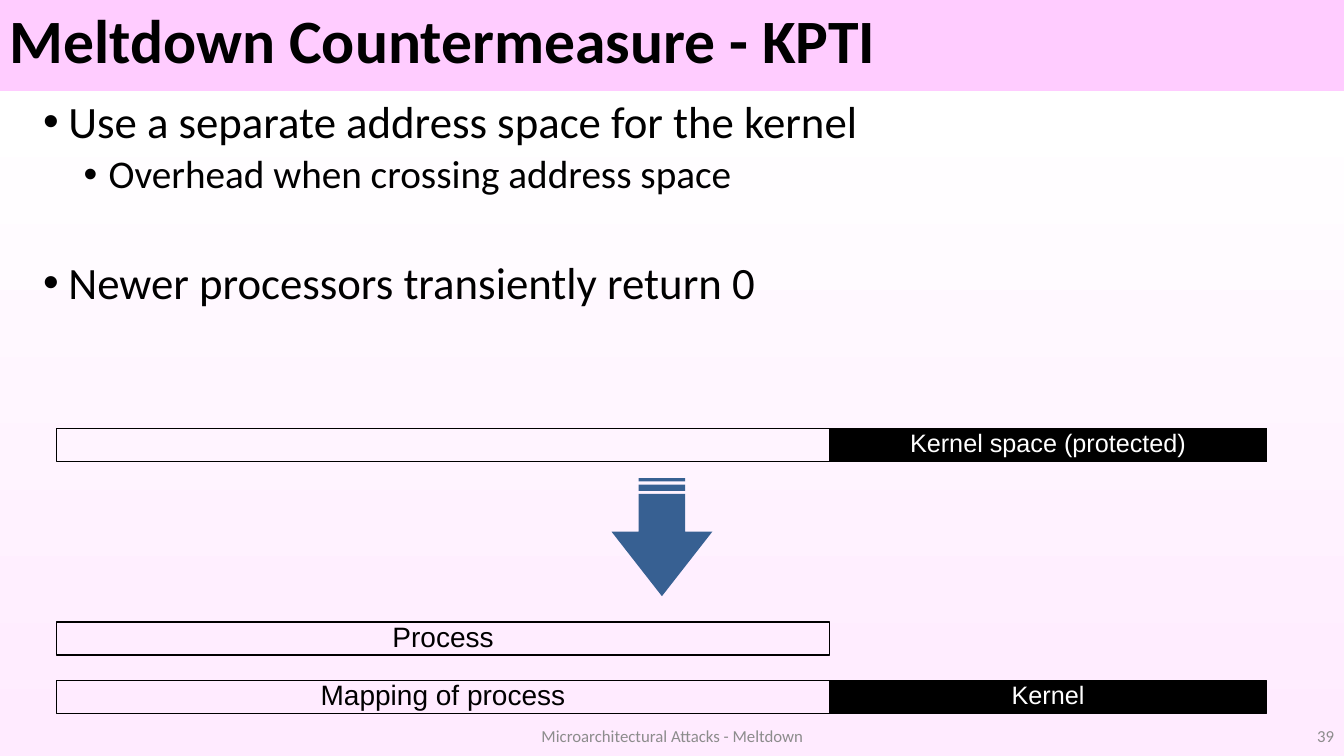
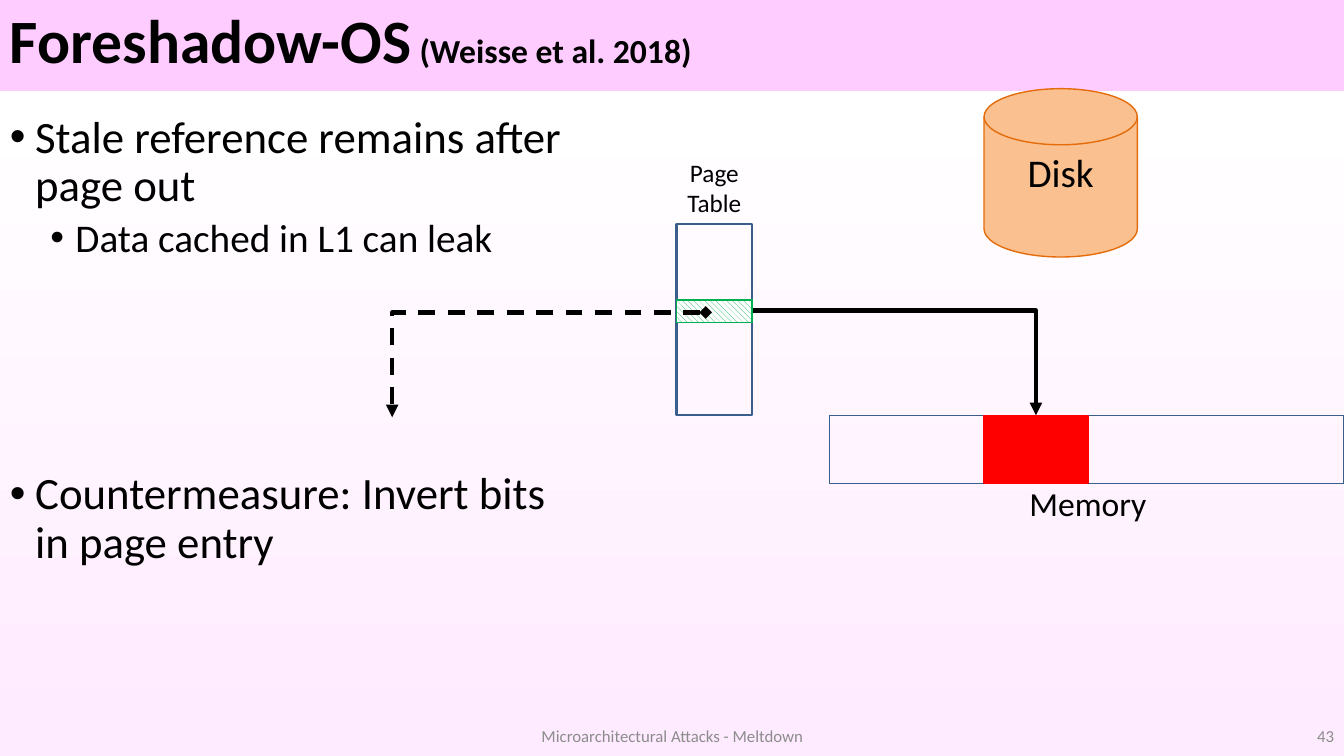
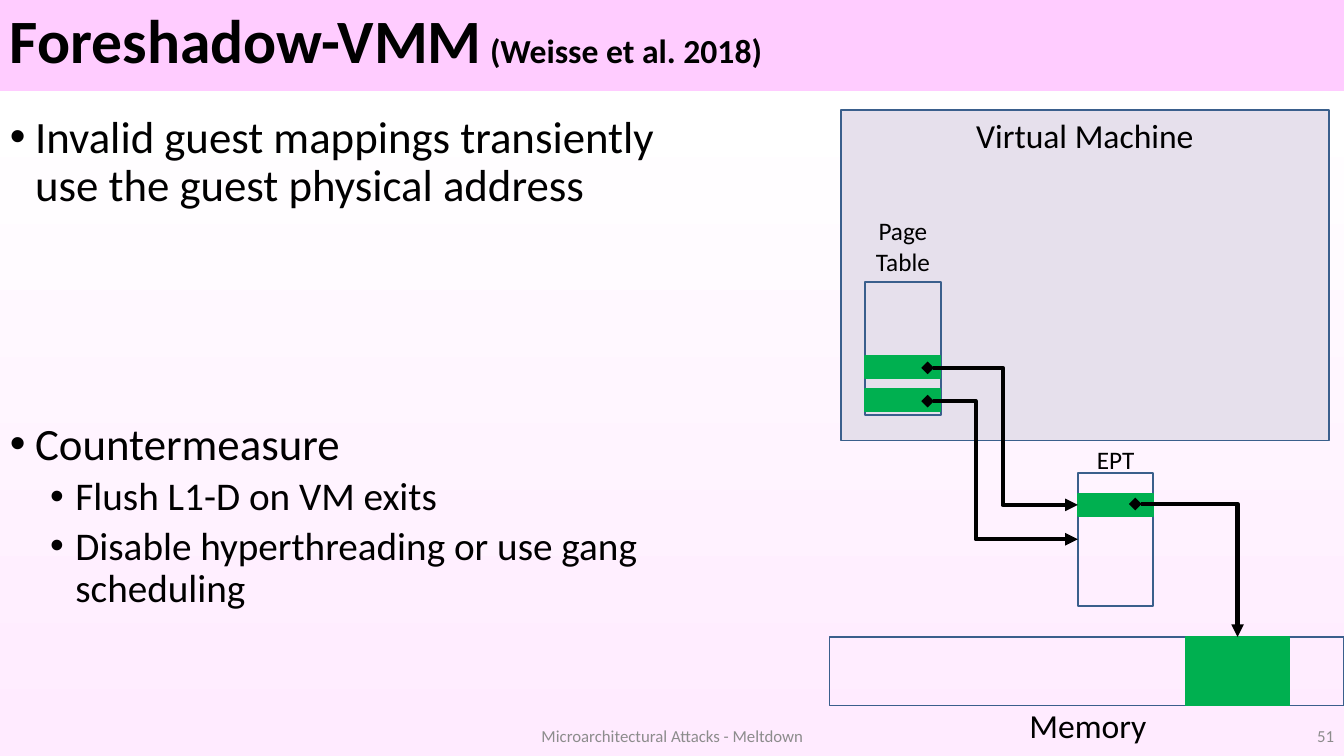
from dataclasses import dataclass
from typing import NamedTuple

from lxml.etree import SubElement
from pptx import Presentation
from pptx.dml.color import RGBColor
from pptx.dml.fill import FillFormat
from pptx.enum.dml import MSO_LINE, MSO_PATTERN
from pptx.enum.shapes import MSO_CONNECTOR as Connectors, MSO_SHAPE as Shapes
from pptx.enum.text import MSO_ANCHOR as Anchor, PP_ALIGN as Align
from pptx.oxml.ns import qn
from pptx.shapes.autoshape import Shape
from pptx.shapes.connector import Connector
from pptx.slide import Slide, SlideMaster
from pptx.text.text import Font
from pptx.util import Inches, Pt

SLIDE_WIDTH, SLIDE_HEIGHT = 13.33, 7.5
BLACK, WHITE, GRAY = "000000", "FFFFFF", "8C8C8C"
BLUE, ARROW_BLUE, GREEN, RED = "3A5F8C", "376092", "00B050", "FF0000"
BACKGROUND_STOPS = [(0, "FFCCFF"), (12, "FFCCFF"), (12, WHITE), (100, "FFEBFF")]
FOOTER = "Microarchitectural Attacks - Meltdown"
CITATION = "(Weisse et al. 2018)"
TABLE_WIDTH, ENTRY_HEIGHT = 0.75, 0.22
BAR_LEFT, BAR_SPLIT, BAR_RIGHT, BAR_HEIGHT = 0.56, 8.23, 12.56, 0.33
MEMORY_LEFT, MEMORY_WIDTH, MEMORY_HEIGHT, BLOCK_WIDTH = 8.23, 5.1, 0.68, 1.03


class Box(NamedTuple):
    left: float
    top: float
    width: float
    height: float

    def lengths(self) -> list[Inches]:
        return [Inches(value) for value in self]


class Point(NamedTuple):
    x: float
    y: float


@dataclass(frozen=True)
class TextStyle:
    size: float
    color: str = BLACK
    font: str = "Calibri"
    bold: bool = False
    align: Align = Align.CENTER
    spacing: float = 1.0


TITLE = TextStyle(44, bold=True, align=Align.LEFT, spacing=0.9)
TABLE_LABEL = TextStyle(18)
LABEL = TextStyle(24)
BAR_DARK = TextStyle(18, WHITE, "Arial", spacing=0.85)
BAR_LIGHT = TextStyle(20, BLACK, "Arial", spacing=0.85)


@dataclass(frozen=True)
class Bullet:
    text: str
    level: int = 0
    space_before: float = 0


def rgb(color: str) -> RGBColor:
    return RGBColor.from_string(color)


def set_fill(fill: FillFormat, color: str | None) -> None:
    if color is None:
        fill.background()
    else:
        fill.solid()
        fill.fore_color.rgb = rgb(color)


def set_font(font: Font, style: TextStyle) -> None:
    font.name, font.size, font.bold = style.font, Pt(style.size), style.bold
    font.color.rgb = rgb(style.color)


def write(shape: Shape, text: str, style: TextStyle, anchor: Anchor = Anchor.MIDDLE,
          wrap: bool = True) -> None:
    frame = shape.text_frame
    frame.word_wrap, frame.vertical_anchor = wrap, anchor
    paragraph = frame.paragraphs[0]
    paragraph.text = text
    paragraph.alignment, paragraph.line_spacing = style.align, style.spacing
    set_font(paragraph.font, style)


def add_text(slide: Slide, box: Box, text: str, style: TextStyle,
             anchor: Anchor = Anchor.TOP) -> Shape:
    shape = slide.shapes.add_textbox(*box.lengths())
    write(shape, text, style, anchor)
    return shape


def add_box(slide: Slide, box: Box, fill: str | None = None, line: str | None = None,
            line_width: float = 1, kind: Shapes = Shapes.RECTANGLE) -> Shape:
    shape = slide.shapes.add_shape(kind, *box.lengths())
    shape.shadow.inherit = False
    set_fill(shape.fill, fill)
    set_fill(shape.line.fill, line)
    if line:
        shape.line.width = Pt(line_width)
    return shape


def add_elbow(slide: Slide, start: Point, end: Point, bend: float | None = None,
              dashed: bool = False) -> Connector:
    """Draw an arrow with one corner, or with two at the share bend of its width."""
    connector = slide.shapes.add_connector(
        Connectors.ELBOW, *(Inches(value) for value in (*start, *end)))
    properties = connector._element.spPr
    geometry = properties.find(qn("a:prstGeom"))
    if bend is None:
        geometry.set("prst", "bentConnector2")
    else:
        guides = geometry.find(qn("a:avLst"))
        if guides is None:
            guides = SubElement(geometry, qn("a:avLst"))
        SubElement(guides, qn("a:gd"), name="adj1", fmla=f"val {round(bend * 100000)}")
    connector.line.color.rgb = rgb(BLACK)
    connector.line.width = Pt(3)
    if dashed:
        connector.line.dash_style = MSO_LINE.DASH
    outline = properties.find(qn("a:ln"))
    SubElement(outline, qn("a:headEnd"), type="diamond")
    SubElement(outline, qn("a:tailEnd"), type="triangle")
    SubElement(properties, qn("a:effectLst"))
    return connector


def set_background(master: SlideMaster) -> None:
    fill = master.background.fill
    fill.gradient()
    fill.gradient_angle = 270
    stops = next(master._element.iter(qn("a:gsLst")))
    for stop in list(stops):
        stops.remove(stop)
    for percent, color in BACKGROUND_STOPS:
        stop = SubElement(stops, qn("a:gs"), pos=str(percent * 1000))
        SubElement(stop, qn("a:srgbClr"), val=color)


def add_slide(presentation: Presentation, title: str, number: int,
              citation: str = "") -> Slide:
    slide = presentation.slides.add_slide(presentation.slide_layouts[6])
    heading = add_text(slide, Box(0, 0, SLIDE_WIDTH, 0.87), title, TITLE, Anchor.MIDDLE)
    if citation:
        run = heading.text_frame.paragraphs[0].add_run()
        run.text = f" {citation}"
        run.font.size = Pt(24)
    add_text(slide, Box(4.42, 7.1, 4.5, 0.4), FOOTER, TextStyle(12, GRAY), Anchor.MIDDLE)
    add_text(slide, Box(10.33, 7.1, 3, 0.4), str(number),
             TextStyle(12, GRAY, align=Align.RIGHT), Anchor.MIDDLE)
    return slide


def add_bullets(slide: Slide, box: Box, bullets: list[Bullet]) -> None:
    frame = slide.shapes.add_textbox(*box.lengths()).text_frame
    frame.word_wrap = True
    for index, bullet in enumerate(bullets):
        paragraph = frame.add_paragraph() if index else frame.paragraphs[0]
        paragraph.text = bullet.text
        paragraph.level = bullet.level
        properties = paragraph._p.get_or_add_pPr()
        properties.set("marL", str(Inches(0.25 + 0.4 * bullet.level)))
        properties.set("indent", str(Inches(-0.25)))
        SubElement(properties, qn("a:buFont"), typeface="Arial")
        SubElement(properties, qn("a:buChar"), char="•")
        paragraph.line_spacing = 0.9
        paragraph.space_before = Pt(bullet.space_before)
        set_font(paragraph.font, TextStyle(32 - 4 * bullet.level))


def add_page_table(slide: Slide, left: float, top: float, height: float, label: str,
                   label_box: Box) -> Shape:
    table = add_box(slide, Box(left, top, TABLE_WIDTH, height), line=BLUE, line_width=1.5)
    add_text(slide, label_box, label, TABLE_LABEL)
    return table


def add_entry(slide: Slide, left: float, top: float) -> Shape:
    return add_box(slide, Box(left, top, TABLE_WIDTH, ENTRY_HEIGHT), GREEN, GREEN)


def add_memory(slide: Slide, top: float, block_left: float, block_color: str) -> Shape:
    """Draw the memory strip and return its coloured block."""
    add_box(slide, Box(MEMORY_LEFT, top, MEMORY_WIDTH, MEMORY_HEIGHT), line=BLUE)
    add_text(slide, Box(10.07, top + 0.62, 1.44, 0.5), "Memory", LABEL)
    return add_box(slide, Box(block_left, top, BLOCK_WIDTH, MEMORY_HEIGHT),
                   block_color, block_color)


def add_bar(slide: Slide, top: float, left: float, right: float, text: str = "",
            dark: bool = False) -> None:
    bar = add_box(slide, Box(left, top, right - left, BAR_HEIGHT),
                  BLACK if dark else None, BLACK)
    if text:
        write(bar, text, BAR_DARK if dark else BAR_LIGHT, wrap=False)


def build_kpti(presentation: Presentation) -> None:
    slide = add_slide(presentation, "Meltdown Countermeasure - KPTI", 39)
    add_bullets(slide, Box(0.33, 0.94, 12.78, 2.46), [
        Bullet("Use a separate address space for the kernel"),
        Bullet("Overhead when crossing address space", 1, 5),
        Bullet("Newer processors transiently return 0", 0, 45),
    ])
    add_bar(slide, 4.25, BAR_LEFT, BAR_RIGHT)
    add_bar(slide, 4.25, BAR_SPLIT, BAR_RIGHT, "Kernel space (protected)", dark=True)
    arrow = add_box(slide, Box(5.98, 4.83, 1.17, 1), ARROW_BLUE,
                    kind=Shapes.STRIPED_RIGHT_ARROW)
    arrow.rotation = 90
    arrow.adjustments[0], arrow.adjustments[1] = 0.46, 0.64
    add_bar(slide, 6.17, BAR_LEFT, BAR_SPLIT, "Process")
    add_bar(slide, 6.75, BAR_SPLIT, BAR_RIGHT, "Kernel", dark=True)
    add_bar(slide, 6.75, BAR_LEFT, BAR_SPLIT, "Mapping of process")


def build_foreshadow_os(presentation: Presentation) -> None:
    slide = add_slide(presentation, "Foreshadow-OS", 43, CITATION)
    add_bullets(slide, Box(0, 1.09, 5.68, 6.07), [
        Bullet("Stale reference remains after page out"),
        Bullet("Data cached in L1 can leak", 1, 5),
        Bullet("Countermeasure: Invert bits in page entry", 0, 150),
    ])
    disk = add_box(slide, Box(9.76, 0.88, 1.52, 1.67), "FAC090", "E46C0A",
                   kind=Shapes.FLOWCHART_MAGNETIC_DISK)
    write(disk, "Disk", TextStyle(28))
    disk.text_frame.margin_bottom = Inches(0.35)

    table_left = 6.71
    add_page_table(slide, table_left, 2.22, 1.9, "Page Table",
                   Box(table_left, 1.51, TABLE_WIDTH, 0.71))
    block = add_memory(slide, 4.12, 9.76, RED)
    add_entry(slide, table_left, 2.97)
    mapping = add_elbow(slide, Point(7.16, 3.08), Point(10.27, 4.12))
    mapping.end_connect(block, 0)

    stale_entry = add_entry(slide, table_left, 2.98)
    stale_entry.fill.patterned()
    stale_entry.fill.pattern = MSO_PATTERN.WIDE_DOWNWARD_DIAGONAL
    stale_entry.fill.fore_color.rgb = rgb(GREEN)
    stale_entry.fill.back_color.rgb = rgb(WHITE)
    add_elbow(slide, Point(7, 3.1), Point(3.89, 4.14), dashed=True)


def build_foreshadow_vmm(presentation: Presentation) -> None:
    slide = add_slide(presentation, "Foreshadow-VMM", 51, CITATION)
    add_bullets(slide, Box(0, 1.09, 7.07, 6.07), [
        Bullet("Invalid guest mappings transiently use the guest physical address"),
        Bullet("Countermeasure", 0, 150),
        Bullet("Flush L1-D on VM exits", 1, 5),
        Bullet("Disable hyperthreading or use gang scheduling", 1, 5),
    ])
    machine = add_box(slide, Box(8.34, 1.09, 4.84, 3.28), "E6E0EC", BLUE)
    write(machine, "Virtual Machine", LABEL, Anchor.TOP)

    guest_left, ept_left = 8.58, 10.69
    add_page_table(slide, guest_left, 2.8, 1.32, "Page Table",
                   Box(guest_left, 2.09, TABLE_WIDTH, 0.71))
    ept = add_page_table(slide, ept_left, 4.69, 1.32, "EPT",
                         Box(ept_left, 4.36, TABLE_WIDTH, 0.4))
    ept_entry = add_entry(slide, ept_left, 4.9)
    for top, end_y, bend, target in [(3.53, 5.02, 0.5, ept_entry), (3.86, 5.35, 0.32, ept)]:
        add_entry(slide, guest_left, top)
        mapping = add_elbow(slide, Point(9.2, top + 0.12), Point(ept_left, end_y), bend)
        mapping.end_connect(target, 1)

    block = add_memory(slide, 6.32, 11.76, GREEN)
    mapping = add_elbow(slide, Point(11.26, 5), Point(12.27, 6.32))
    mapping.end_connect(block, 0)


def main() -> None:
    presentation = Presentation()
    presentation.slide_width = Inches(SLIDE_WIDTH)
    presentation.slide_height = Inches(SLIDE_HEIGHT)
    set_background(presentation.slide_master)
    build_kpti(presentation)
    build_foreshadow_os(presentation)
    build_foreshadow_vmm(presentation)
    presentation.save("out.pptx")


if __name__ == "__main__":
    main()
